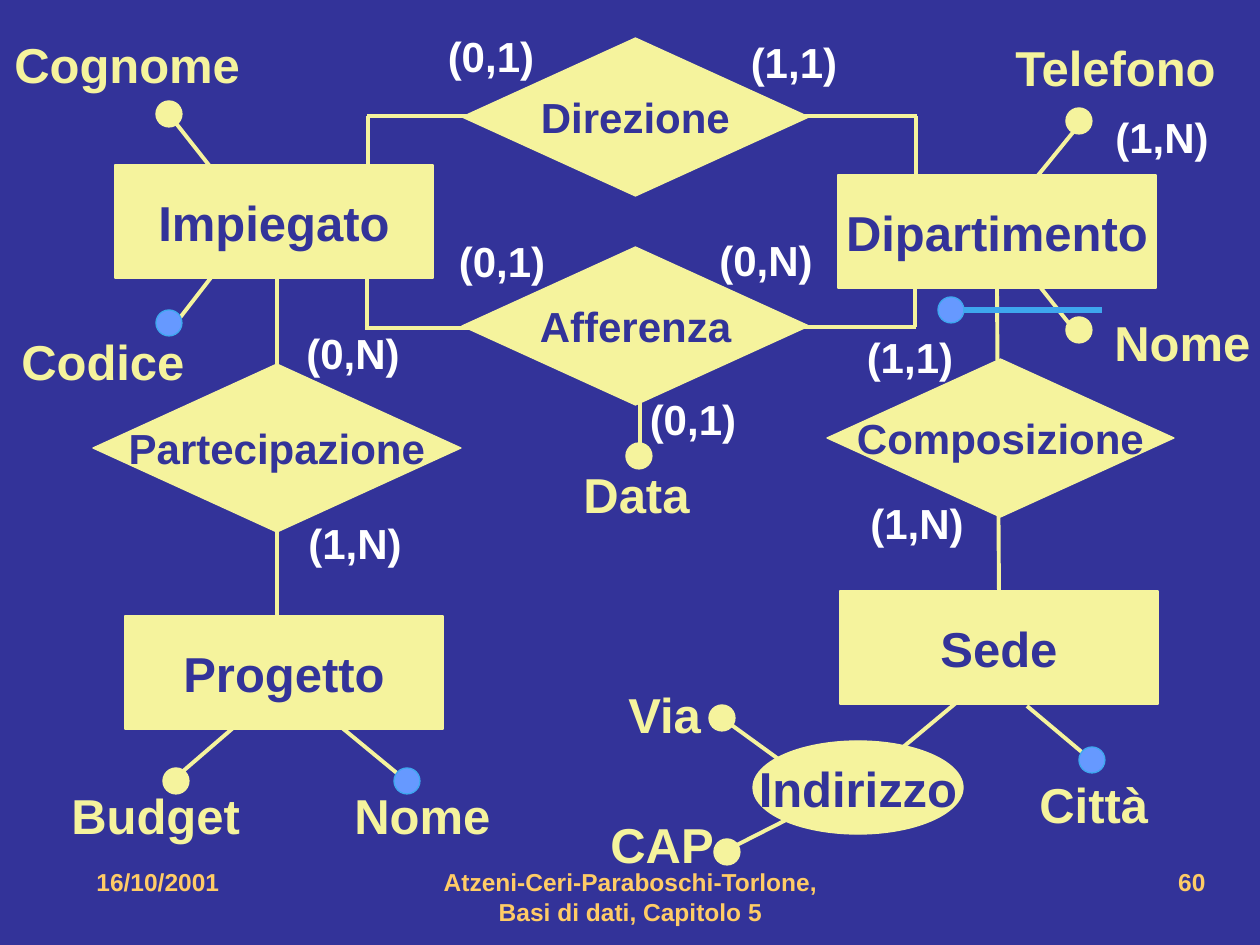
from dataclasses import dataclass
from typing import Any, NamedTuple

import pptx
import pptx.dml.color
import pptx.enum.shapes
import pptx.enum.text
import pptx.oxml.ns
import pptx.util
from lxml import etree

EMU_PER_PX = 914400 / 126
SHAPES = pptx.enum.shapes.MSO_SHAPE
ALIGN = pptx.enum.text.PP_ALIGN
ANCHOR = pptx.enum.text.MSO_ANCHOR
AUTO_SIZE = pptx.enum.text.MSO_AUTO_SIZE


@dataclass(frozen=True)
class Theme:
    font: str = "Arial"
    background: str = "333399"
    yellow: str = "F5F39D"
    white: str = "FFFFFF"
    key_fill: str = "6699FF"
    key_line: str = "3EA7EE"
    footer: str = "FFCC66"
    name_size: int = 28
    detail_size: int = 24
    footer_size: int = 14
    outline: float = 0.75
    link: float = 2.25
    key_link: float = 3


THEME = Theme()


class Node(NamedTuple):
    text: str
    left: int
    top: int
    width: int
    height: int


class Label(NamedTuple):
    text: str
    left: int
    top: int
    width: int


class Dot(NamedTuple):
    x: int
    y: int


class Link(NamedTuple):
    x1: int
    y1: int
    x2: int
    y2: int


class Footer(NamedTuple):
    text: str
    left: int
    width: int
    alignment: Any


ENTITY_WIDTH, ENTITY_HEIGHT = 318, 113
RELATION_WIDTH, RELATION_HEIGHT = 347, 158
DOT_SIZE = 26
NAME_HEIGHT, CARDINALITY_HEIGHT = 72, 63
FOOTER_TOP, FOOTER_HEIGHT = 861, 63

ENTITIES = [
    Node(text, left, top, ENTITY_WIDTH, ENTITY_HEIGHT)
    for text, left, top in [
        ("Impiegato", 115, 165),
        ("Dipartimento", 838, 175),
        ("Progetto", 125, 616),
        ("Sede", 840, 591),
    ]
]
RELATIONS = [
    Node(text, left, top, RELATION_WIDTH, RELATION_HEIGHT)
    for text, left, top in [
        ("Direzione", 462, 38),
        ("Afferenza", 462, 247),
        ("Composizione", 827, 359),
    ]
] + [Node("Partecipazione", 93, 364, 368, 168)]
COMPOSITE = Node("Indirizzo", 753, 741, 210, 93)

CARDINALITIES = [
    Label("(1,1)", 737, 30, 114),
    Label("(0,1)", 434, 24, 114),
    Label("(0,N)", 706, 228, 120),
    Label("(0,1)", 445, 229, 114),
    Label("(0,1)", 636, 387, 114),
    Label("(1,1)", 853, 325, 114),
    Label("(1,N)", 857, 491, 120),
    Label("(0,N)", 293, 321, 120),
    Label("(1,N)", 295, 511, 120),
    Label("(1,N)", 1102, 105, 120),
]
ATTRIBUTES = [
    Label("Cognome", 2, 28, 251),
    Label("Codice", 9, 325, 188),
    Label("Telefono", 1003, 31, 229),
    Label("Nome", 1102, 306, 161),
    Label("Data", 571, 458, 131),
    Label("Budget", 59, 779, 194),
    Label("Nome", 342, 779, 161),
    Label("Via", 616, 678, 98),
    Label("CAP", 598, 808, 129),
    Label("Città", 1027, 768, 134),
]
ATTRIBUTE_DOTS = [
    Dot(169, 114), Dot(1079, 121), Dot(1079, 330), Dot(639, 456),
    Dot(176, 781), Dot(722, 718), Dot(727, 852),
]
KEY_DOTS = [Dot(951, 310), Dot(407, 781), Dot(1092, 760), Dot(169, 323)]

RELATION_LINKS = [
    Link(277, 270, 277, 648),
    Link(367, 265, 367, 328), Link(365, 328, 491, 328),
    Link(368, 179, 368, 116), Link(367, 116, 493, 116),
    Link(915, 263, 915, 327), Link(916, 327, 790, 327),
    Link(916, 180, 916, 116), Link(917, 116, 790, 116),
]
ATTRIBUTE_LINKS = [
    Link(231, 193, 171, 117), Link(179, 319, 220, 266),
    Link(1018, 200, 1079, 125), Link(1071, 326, 1029, 273),
    Link(640, 445, 640, 403),
    Link(247, 716, 174, 779), Link(341, 727, 404, 779),
    Link(956, 703, 896, 753), Link(1027, 706, 1090, 759),
    Link(788, 766, 726, 721), Link(725, 851, 788, 819),
]
KEY_LINK = Link(955, 310, 1102, 310)
FOOTERS = [
    Footer("16/10/2001", 84, 273, ALIGN.LEFT),
    Footer("Atzeni-Ceri-Paraboschi-Torlone, Basi di dati, Capitolo 5", 431, 399, ALIGN.CENTER),
    Footer("60", 903, 315, ALIGN.RIGHT),
]


def px(value: float) -> int:
    return round(value * EMU_PER_PX)


def rgb(value: str) -> pptx.dml.color.RGBColor:
    return pptx.dml.color.RGBColor.from_string(value)


def apply_format(target: Any, values: dict[str, Any]) -> None:
    for name, value in values.items():
        setattr(target, name, value)


def write_text(shape: Any, text: str, size: int, color: str, alignment: Any, frame_format: dict[str, Any]) -> None:
    frame = shape.text_frame
    frame.text = text
    apply_format(frame, frame_format)
    paragraph = frame.paragraphs[0]
    paragraph.alignment = alignment
    font = paragraph.runs[0].font
    apply_format(font, {"name": THEME.font, "size": pptx.util.Pt(size), "bold": True})
    font.color.rgb = rgb(color)


def add_filled(slide: Any, kind: Any, box: tuple, fill: str, outline: str) -> Any:
    shape = slide.shapes.add_shape(kind, *map(px, box))
    shape.shadow.inherit = False
    shape.fill.solid()
    shape.fill.fore_color.rgb = rgb(fill)
    shape.line.color.rgb = rgb(outline)
    shape.line.width = pptx.util.Pt(THEME.outline)
    return shape


def add_node(slide: Any, node: Node, kind: Any, size: int) -> Any:
    shape = add_filled(slide, kind, node[1:], THEME.yellow, THEME.yellow)
    write_text(shape, node.text, size, THEME.background, ALIGN.CENTER,
               {"word_wrap": False, "vertical_anchor": ANCHOR.MIDDLE})
    return shape


def add_dot(slide: Any, dot: Dot, fill: str, outline: str) -> None:
    half = DOT_SIZE / 2
    add_filled(slide, SHAPES.OVAL, (dot.x - half, dot.y - half, DOT_SIZE, DOT_SIZE), fill, outline)


def add_link(slide: Any, link: Link, color: str, width: float) -> Any:
    connector = slide.shapes.add_connector(pptx.enum.shapes.MSO_CONNECTOR.STRAIGHT, *map(px, link))
    connector.line.color.rgb = rgb(color)
    connector.line.width = pptx.util.Pt(width)
    etree.SubElement(connector._element.spPr, pptx.oxml.ns.qn("a:effectLst"))
    return connector


def add_label(slide: Any, label: Label, height: int, size: int, color: str, alignment: Any, anchor: Any) -> None:
    box = slide.shapes.add_textbox(*map(px, (label.left, label.top, label.width, height)))
    write_text(box, label.text, size, color, alignment,
               {"word_wrap": False, "auto_size": AUTO_SIZE.SHAPE_TO_FIT_TEXT, "vertical_anchor": anchor})


def add_footer(slide: Any, footer: Footer) -> None:
    box = slide.shapes.add_textbox(*map(px, (footer.left, FOOTER_TOP, footer.width, FOOTER_HEIGHT)))
    write_text(box, footer.text, THEME.footer_size, THEME.footer, footer.alignment, {"word_wrap": True})


def main() -> None:
    presentation = pptx.Presentation()
    apply_format(presentation, {"slide_width": px(1260), "slide_height": px(945)})
    slide = presentation.slides.add_slide(presentation.slide_layouts[6])
    slide.background.fill.solid()
    slide.background.fill.fore_color.rgb = rgb(THEME.background)

    for link in RELATION_LINKS + ATTRIBUTE_LINKS:
        add_link(slide, link, THEME.yellow, THEME.link)
    entities = {node.text: add_node(slide, node, SHAPES.RECTANGLE, THEME.name_size) for node in ENTITIES}
    composition = add_link(slide, Link(997, 288, 999, 591), THEME.yellow, THEME.link)
    composition.begin_connect(entities["Dipartimento"], 2)
    composition.end_connect(entities["Sede"], 0)
    for node in RELATIONS:
        add_node(slide, node, SHAPES.DIAMOND, THEME.detail_size)
    add_node(slide, COMPOSITE, SHAPES.OVAL, THEME.name_size)

    for label in CARDINALITIES:
        add_label(slide, label, CARDINALITY_HEIGHT, THEME.detail_size, THEME.white, ALIGN.CENTER, ANCHOR.MIDDLE)
    for label in ATTRIBUTES:
        add_label(slide, label, NAME_HEIGHT, THEME.name_size, THEME.yellow, ALIGN.LEFT, ANCHOR.TOP)
    for dot in ATTRIBUTE_DOTS:
        add_dot(slide, dot, THEME.yellow, THEME.yellow)
    add_link(slide, KEY_LINK, THEME.key_line, THEME.key_link)
    for dot in KEY_DOTS:
        add_dot(slide, dot, THEME.key_fill, THEME.key_line)
    for footer in FOOTERS:
        add_footer(slide, footer)
    presentation.save("out.pptx")


if __name__ == "__main__":
    main()
